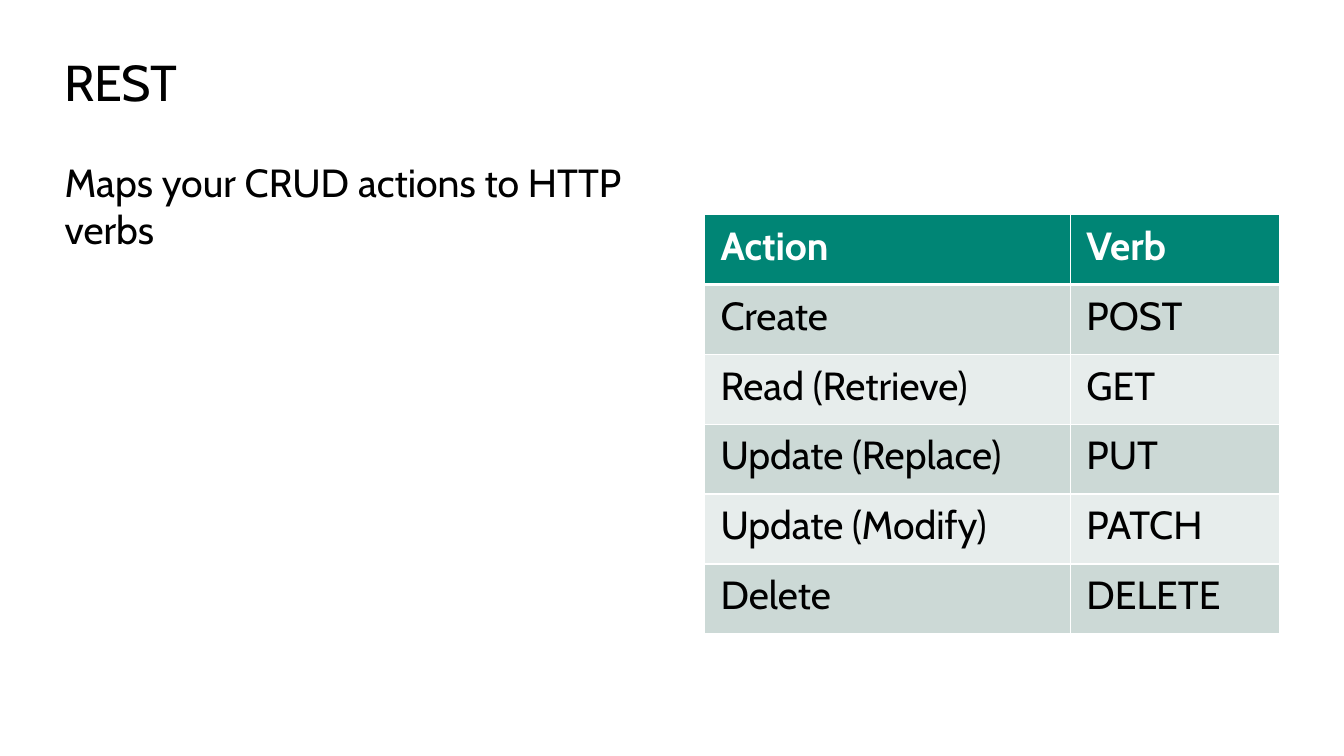
from dataclasses import dataclass

from lxml import etree
from pptx import Presentation
from pptx.dml.color import RGBColor
from pptx.enum import text
from pptx.oxml import ns
from pptx.util import Cm, Pt


@dataclass(frozen=True)
class Theme:
    font: str = "Cabin"
    title_size: int = 36
    text_size: int = 28
    ink: str = "000000"
    white: str = "FFFFFF"
    header: str = "008575"
    bands: tuple = ("CCD9D6", "E7EDEC")
    rule: int = 1
    header_rule: int = 3


THEME = Theme()

VERBS = [
    ("Action", "Verb"),
    ("Create", "POST"),
    ("Read (Retrieve)", "GET"),
    ("Update (Replace)", "PUT"),
    ("Update (Modify)", "PATCH"),
    ("Delete", "DELETE"),
]


def add_span(para, words, size, color, bold=False):
    span = para.add_run()
    span.text = words
    span.font.name = THEME.font
    span.font.size = Pt(size)
    span.font.bold = bold
    span.font.color.rgb = RGBColor.from_string(color)
    return span


def fill_placeholder(box, bounds, words, size, anchor):
    box.left, box.top, box.width, box.height = (Cm(length) for length in bounds)
    frame = box.text_frame
    frame.margin_left = frame.margin_right = 0
    frame.margin_top = frame.margin_bottom = 0
    frame.word_wrap = True
    frame.auto_size = text.MSO_AUTO_SIZE.NONE
    frame.vertical_anchor = anchor
    para = frame.paragraphs[0]
    para.alignment = text.PP_ALIGN.LEFT
    return para, add_span(para, words, size, THEME.ink)


def remove_bullet(para):
    properties = para._p.get_or_add_pPr()
    properties.set("marL", "0")
    properties.set("indent", "0")
    etree.SubElement(properties, ns.qn("a:buNone"))


def add_borders(cell, widths):
    properties = cell._tc.get_or_add_tcPr()
    for position, (side, width) in enumerate(widths.items()):
        line = etree.Element(ns.qn(f"a:ln{side}"), w=str(Pt(width)))
        fill = etree.SubElement(line, ns.qn("a:solidFill"))
        etree.SubElement(fill, ns.qn("a:srgbClr"), val=THEME.white)
        properties.insert(position, line)


def format_cell(cell, words, row):
    is_header = row == 0
    cell.margin_left = cell.margin_right = Cm(0.41)
    cell.margin_top = cell.margin_bottom = Cm(0.2)
    cell.fill.solid()
    color = THEME.header if is_header else THEME.bands[(row - 1) % 2]
    cell.fill.fore_color.rgb = RGBColor.from_string(color)
    add_span(cell.text_frame.paragraphs[0], words, THEME.text_size,
             THEME.white if is_header else THEME.ink, is_header)
    add_borders(cell, {
        "L": THEME.rule,
        "R": THEME.rule,
        "T": THEME.header_rule if row == 1 else THEME.rule,
        "B": THEME.header_rule if is_header else THEME.rule,
    })


def add_verb_table(page, left, top, column_widths, row_height):
    table = page.shapes.add_table(
        len(VERBS), len(column_widths), Cm(left), Cm(top),
        Cm(sum(column_widths)), Cm(row_height * len(VERBS))).table
    for column, width in zip(table.columns, column_widths):
        column.width = Cm(width)
    for row, entries in enumerate(VERBS):
        table.rows[row].height = Cm(row_height)
        for column, words in enumerate(entries):
            format_cell(table.cell(row, column), words, row)


def main():
    deck = Presentation()
    deck.slide_width, deck.slide_height = Cm(33.87), Cm(19.05)
    page = deck.slides.add_slide(deck.slide_layouts[1])

    para, span = fill_placeholder(
        page.shapes.title, (1.63, 1.27, 30.61, 1.55), "REST",
        THEME.title_size, text.MSO_ANCHOR.MIDDLE)
    span.font._element.set("spc", "-50")

    para, span = fill_placeholder(
        page.placeholders[1], (1.63, 3.99, 14.48, 13.44),
        "Maps your CRUD actions to HTTP verbs",
        THEME.text_size, text.MSO_ANCHOR.TOP)
    remove_bullet(para)

    add_verb_table(page, 17.75, 5.41, (9.22, 5.28), 1.76)
    deck.save("out.pptx")


if __name__ == "__main__":
    main()
